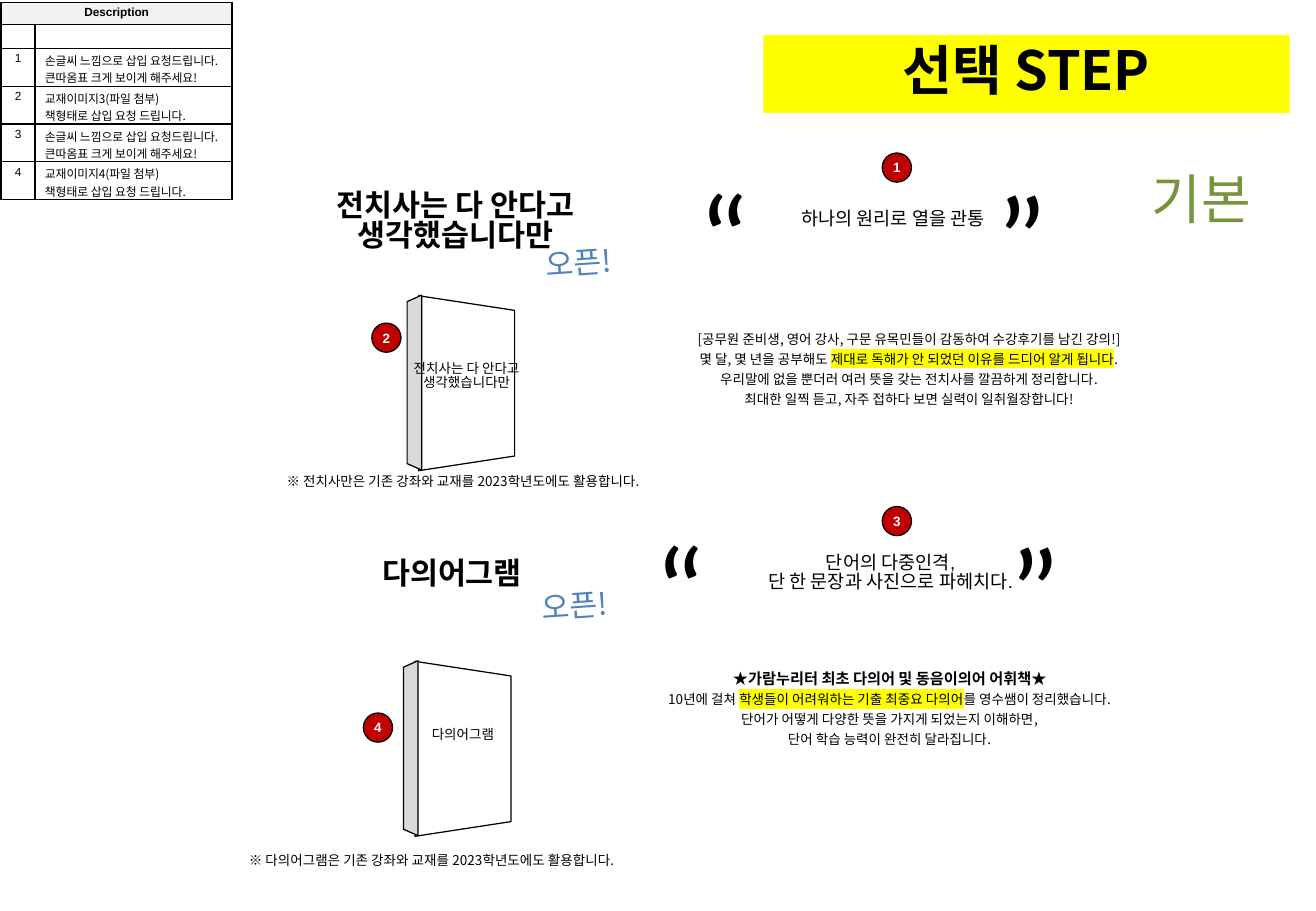
from lxml.etree import SubElement
from pptx import Presentation
from pptx.dml.color import RGBColor
from pptx.enum.shapes import MSO_SHAPE
from pptx.enum.text import MSO_ANCHOR, MSO_AUTO_SIZE, PP_ALIGN
from pptx.oxml.ns import qn
from pptx.util import Inches, Pt

BLACK = RGBColor(0x00, 0x00, 0x00)
WHITE = RGBColor(0xFF, 0xFF, 0xFF)
YELLOW = RGBColor(0xFF, 0xFF, 0x00)
RED = RGBColor(0xC0, 0x00, 0x00)
BLUE = RGBColor(0x4F, 0x81, 0xBD)
GREEN = RGBColor(0x77, 0x93, 0x3C)
SPINE_GREY = RGBColor(0xD9, 0xD9, 0xD9)
HEADER_GREY = RGBColor(0xF2, 0xF2, 0xF2)
NOTO = "Noto Sans CJK KR"

deck = Presentation()
deck.slide_width, deck.slide_height = Inches(10.83), Inches(7.5)
slide = deck.slides.add_slide(deck.slide_layouts[5])


def area(left, top, width, height):
    across, down = deck.slide_width / 100, deck.slide_height / 100
    return int(left * across), int(top * down), int(width * across), int(height * down)


def write(frame, lines, size, font=NOTO, color=BLACK, bold=False,
          align=PP_ALIGN.CENTER, spacing=0.83, inset=None, anchor=MSO_ANCHOR.TOP):
    frame.word_wrap = True
    frame.auto_size = MSO_AUTO_SIZE.NONE
    frame.vertical_anchor = anchor
    if inset is not None:
        frame.margin_left = frame.margin_right = inset
        frame.margin_top = frame.margin_bottom = inset
    for index, line in enumerate(lines):
        paragraph = frame.add_paragraph() if index else frame.paragraphs[0]
        paragraph.alignment = align
        paragraph.line_spacing = spacing
        for text, style in [(line, {})] if isinstance(line, str) else line:
            run = paragraph.add_run()
            run.text = text
            run.font.size = Pt(style.get("size", size))
            run.font.bold = style.get("bold", bold)
            run.font.color.rgb = color
            properties = run.font._element
            if "mark" in style:
                highlight = SubElement(properties, qn("a:highlight"))
                SubElement(highlight, qn("a:srgbClr"), val=str(style["mark"]))
            run.font.name = font
            east_asian = properties.makeelement(
                qn("a:ea"), {"typeface": "Calibri" if font == "Calibri" else NOTO})
            properties.find(qn("a:latin")).addnext(east_asian)


MARKED = {"mark": YELLOW}

headline = slide.shapes.title
headline.left, headline.top, headline.width, headline.height = area(58, 3.87, 40, 8.53)
headline.fill.solid()
headline.fill.fore_color.rgb = YELLOW
write(headline.text_frame, ["선택 STEP"], 32, bold=True, inset=0, anchor=MSO_ANCHOR.MIDDLE)

centred = [
    (21.14, 17.07, 18, True, ["전치사는 다 안다고", "생각했습니다만"]),
    (54.39, 16.8, 11, False, ["하나의 원리로 열을 관통"]),
    (20.87, 55.87, 18, True, ["다의어그램"]),
    (54.2, 55.6, 11, False, ["단어의 다중인격,", "단 한 문장과 사진으로 파헤치다."]),
]
for left, top, size, bold, lines in centred:
    heading = slide.shapes.add_textbox(*area(left, top, 26.96, 14.67))
    write(heading.text_frame, lines, size, "Arial", bold=bold, inset=0,
          anchor=MSO_ANCHOR.MIDDLE)

requests = [
    ["손글씨 느낌으로 삽입 요청드립니다.", "큰따옴표 크게 보이게 해주세요!"],
    ["교재이미지{}(파일 첨부)", "책형태로 삽입 요청 드립니다."],
]
description = slide.shapes.add_table(6, 2, *area(0.09, 0.27, 17.54, 21.73)).table
description.columns[0].width, description.columns[1].width = Inches(0.28), Inches(1.62)
for row, height in zip(description.rows, [0.18, 0.2] + [0.31] * 4):
    row.height = Inches(height)
description.cell(0, 0).merge(description.cell(0, 1))
for row_index, row in enumerate(description.rows):
    for column_index, cell in enumerate(row.cells):
        cell.margin_left = Inches(0.08 if column_index else 0.07)
        cell.margin_right = Inches(0.02 if column_index else 0.07)
        cell.margin_top = Inches(0.03)
        cell.margin_bottom = 0
        for side in ("a:lnL", "a:lnR", "a:lnT", "a:lnB"):
            border = SubElement(cell._tc.get_or_add_tcPr(), qn(side), w=str(Pt(1)))
            SubElement(SubElement(border, qn("a:solidFill")), qn("a:srgbClr"), val=str(BLACK))
        cell.fill.solid()
        cell.fill.fore_color.rgb = WHITE if row_index else HEADER_GREY
        if row_index > 1 and column_index:
            number = row_index - 1
            lines = [line.format(number + 1 if number % 2 else number)
                     for line in requests[row_index % 2]]
            write(cell.text_frame, [line.replace(str(number), str(number)) for line in lines],
                  7, align=PP_ALIGN.LEFT, spacing=1.0)
        elif row_index > 1:
            write(cell.text_frame, [str(row_index - 1)], 7, "Arial", spacing=1.0)
        elif row_index == 0 and column_index == 0:
            write(cell.text_frame, ["Description"], 7, "Arial", bold=True, spacing=1.0)
        else:
            SubElement(cell.text_frame.paragraphs[0]._p, qn("a:endParaRPr"), sz="700")
description.cell(3, 1).text_frame.paragraphs[0].runs[0].text = "교재이미지3(파일 첨부)"
description.cell(5, 1).text_frame.paragraphs[0].runs[0].text = "교재이미지4(파일 첨부)"

introductions = [
    (48.11, 35.2, [
        "[공무원 준비생, 영어 강사, 구문 유목민들이 감동하여 수강후기를 남긴 강의!]",
        [("몇 달, 몇 년을 공부해도 ", {}),
         ("제대로 독해가 안 되었던 이유를 드디어 알게 됩니다", MARKED), (".", {})],
        "우리말에 없을 뿐더러 여러 뜻을 갖는 전치사를 깔끔하게 정리합니다.",
        "최대한 일찍 듣고, 자주 접하다 보면 실력이 일취월장합니다!"]),
    (46.63, 72.27, [
        [("★가람누리터 최초 다의어 및 동음이의어 어휘책★", {"size": 9, "bold": True})],
        [("10년에 걸쳐 ", {}), ("학생들이 어려워하는 기출 최중요 다의어", MARKED),
         ("를 영수쌤이 정리했습니다.", {})],
        "단어가 어떻게 다양한 뜻을 가지게 되었는지 이해하면,",
        "단어 학습 능력이 완전히 달라집니다."]),
]
for left, top, lines in introductions:
    introduction = slide.shapes.add_textbox(*area(left, top, 41.92, 12))
    write(introduction.text_frame, lines, 8, spacing=1.25)

for left, top in [(36.01, 26.8), (35.73, 64.4)]:
    opening = slide.shapes.add_textbox(*area(left, top, 15.97, 5.33))
    opening.rotation = 356.1
    write(opening.text_frame, ["오픈!"], 18, color=BLUE)

level = slide.shapes.add_textbox(*area(84.03, 18.67, 14.5, 8.53))
write(level.text_frame, ["기본"], 32, color=GREEN)

books = [
    (28.81, 36.8, ["전치사는 다 안다고", "생각했습니다만"]),
    (28.53, 76.93, ["다의어그램"]),
]
for left, top, lines in books:
    faces = [
        (area(left, top, 13.3, 10.53), 90, 0.153, WHITE),
        (area(left - 3.97, top + 4.4, 13.3, 1.6), 270, 0.443, SPINE_GREY),
    ]
    for place, rotation, slant, color in faces:
        face = slide.shapes.add_shape(MSO_SHAPE.TRAPEZOID, *place)
        face.rotation = rotation
        face.adjustments[0] = slant
        face.shadow.inherit = False
        face.fill.solid()
        face.fill.fore_color.rgb = color
        face.line.color.rgb = BLACK
        face.line.width = Pt(0.75)
    cover = slide.shapes.add_textbox(*area(left + 0.1, top + 2.4, 13.11, 4.93))
    write(cover.text_frame, lines, 8)

footnotes = [
    (20.87, 51.6, "※ 전치사만은 기존 강좌와 교재를 2023학년도에도 활용합니다."),
    (18.01, 93.2, "※ 다의어그램은 기존 강좌와 교재를 2023학년도에도 활용합니다."),
]
for left, top, line in footnotes:
    footnote = slide.shapes.add_textbox(*area(left, top, 33.24, 3.2))
    write(footnote.text_frame, [line], 8, align=PP_ALIGN.LEFT)

for left, top, closing in [(52.17, 16.93, 22.62), (48.85, 55.6, 26.96)]:
    quotes = slide.shapes.add_textbox(*area(left, top, 40.54, 17.47))
    write(quotes.text_frame, ["“\t”"], 72, "Calibri", align=PP_ALIGN.LEFT, spacing=1.0)
    tabs = SubElement(quotes.text_frame.paragraphs[0]._p.get_or_add_pPr(), qn("a:tabLst"))
    SubElement(tabs, qn("a:tab"), pos=str(area(closing, 0, 0, 0)[0]), algn="l")

markers = [(67.04, 16.8), (28.25, 35.47), (67.04, 55.6), (27.61, 78.27)]
for number, (left, top) in enumerate(markers, 1):
    marker = slide.shapes.add_shape(MSO_SHAPE.OVAL, *area(left, top, 2.22, 3.2))
    marker.shadow.inherit = False
    marker.fill.solid()
    marker.fill.fore_color.rgb = RED
    marker.line.color.rgb = BLACK
    marker.line.width = Pt(0.75)
    write(marker.text_frame, [str(number)], 8, "Arial", WHITE, True, spacing=1.0,
          inset=0, anchor=MSO_ANCHOR.MIDDLE)

deck.save("out.pptx")
